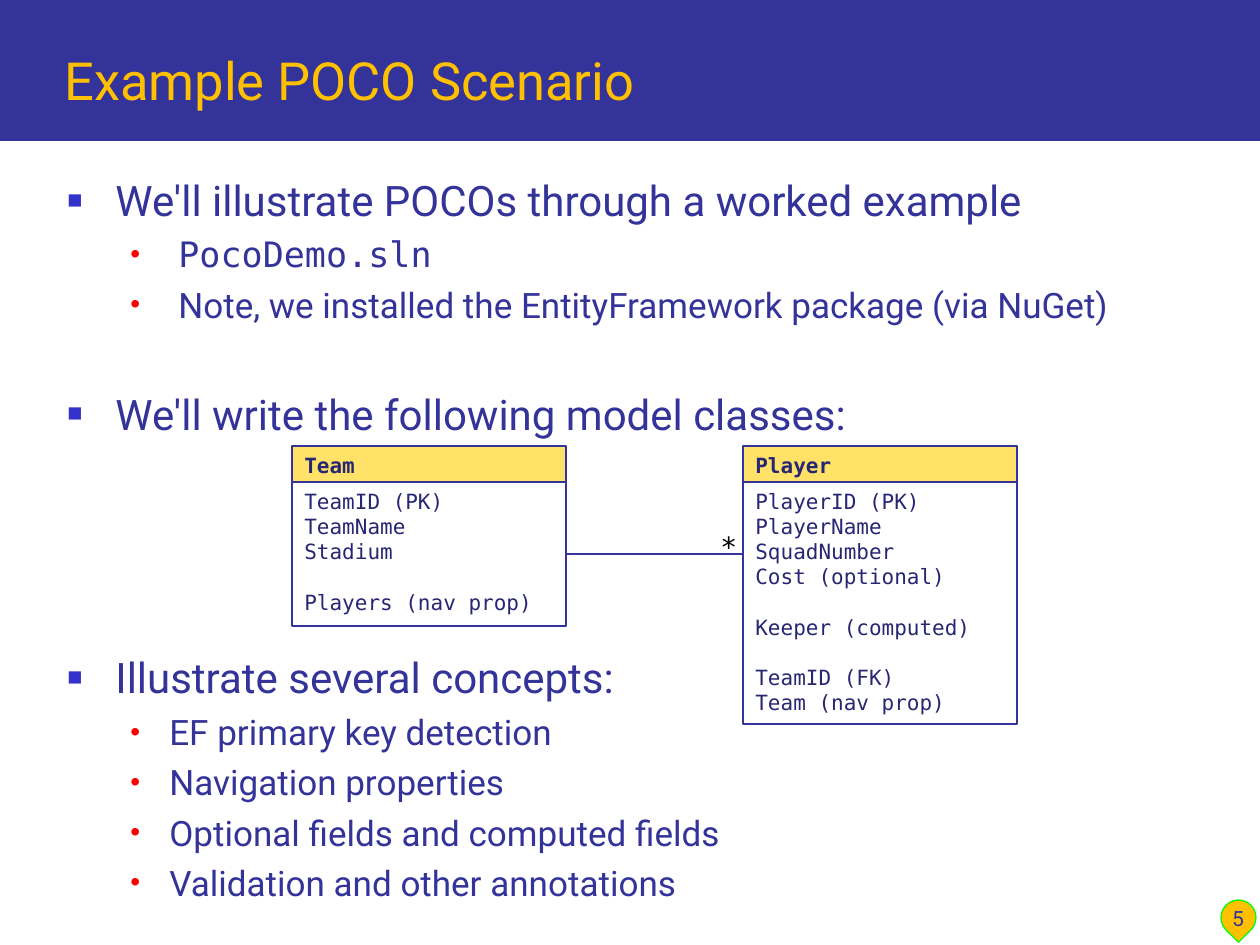
from lxml import etree
from pptx import Presentation
from pptx.dml.color import RGBColor
from pptx.enum.shapes import MSO_CONNECTOR, MSO_SHAPE
from pptx.enum.text import MSO_ANCHOR, PP_ALIGN
from pptx.oxml.ns import qn
from pptx.util import Pt

RECT, DROP = MSO_SHAPE.RECTANGLE, MSO_SHAPE.TEAR
LINE = MSO_CONNECTOR.STRAIGHT
TOP, LOW = MSO_ANCHOR.TOP, MSO_ANCHOR.BOTTOM
LEFT, MID = PP_ALIGN.LEFT, PP_ALIGN.CENTER

SANS, MONO = "Roboto", "DejaVu Sans Mono"
HUE = {"navy": "333399", "gold": "FFC000", "lime": "00FF00", "blue": "3333CC",
       "red": "FF0000", "ink": "262673", "sand": "FFE267", "white": "FFFFFF",
       "black": "000000"}

TITLE = "Example POCO Scenario"
PAGE = "5"
MANY = "*"
POINTS = [
    ("We'll illustrate POCOs through a worked example", 0, 111,
     [("PocoDemo.sln", MONO),
      ("Note, we installed the EntityFramework package (via NuGet)", SANS)]),
    ("We'll write the following model classes:", 36, 102, []),
    ("Illustrate several concepts:", 122, 102,
     [("EF primary key detection", SANS),
      ("Navigation properties", SANS),
      ("Optional fields and computed fields", SANS),
      ("Validation and other annotations", SANS)]),
]
TEAM = ("Team", 292, 144,
        [["TeamID (PK)", "TeamName", "Stadium"],
         ["Players (nav prop)"]])
PLAYER = ("Player", 743, 242,
          [["PlayerID (PK)", "PlayerName", "SquadNumber", "Cost (optional)"],
           ["Keeper (computed)"],
           ["TeamID (FK)", "Team (nav prop)"]])
WIDE, HEAD, HIGH = 274, 446, 36
PITCH = 14.4
SUB = 63


def px(n):
    return int(n * 914400 / 126)


def rgb(name):
    return RGBColor.from_string(HUE[name])


def style(para, size, hue, face=SANS, bold=False, align=LEFT):
    para.alignment = align
    font = para.font
    font.size, font.name, font.bold = Pt(size), face, bold
    font.color.rgb = rgb(hue)


def add_para(frame, text):
    first = frame.paragraphs[0]
    para = frame.add_paragraph() if first.runs else first
    para.add_run().text = text
    return para


def bullet(para, mark, hue, size, left, hang):
    props = para._p.get_or_add_pPr()
    props.set("marL", str(px(left)))
    props.set("indent", str(-px(hang)))
    tint = etree.SubElement(props, qn("a:buClr"))
    etree.SubElement(tint, qn("a:srgbClr")).set("val", HUE[hue])
    etree.SubElement(props, qn("a:buSzPct")).set("val", str(size * 1000))
    etree.SubElement(props, qn("a:buFont")).set("typeface", "Arial")
    etree.SubElement(props, qn("a:buChar")).set("char", mark)


def add_box(x, y, w, h, anchor=TOP, wrap=True):
    frame = slide.shapes.add_textbox(px(x), px(y), px(w), px(h)).text_frame
    frame.word_wrap, frame.vertical_anchor = wrap, anchor
    return frame


def add_shape(kind, x, y, w, h, fill, edge=None):
    shape = slide.shapes.add_shape(kind, px(x), px(y), px(w), px(h))
    shape.shadow.inherit = False
    shape.fill.solid()
    shape.fill.fore_color.rgb = rgb(fill)
    if edge:
        shape.line.color.rgb = rgb(edge)
        shape.line.width = Pt(0.75)
    else:
        shape.line.fill.background()
    frame = shape.text_frame
    frame.word_wrap, frame.vertical_anchor = True, TOP
    return shape


def add_class(name, x, high, groups):
    body = add_shape(RECT, x, HEAD + HIGH, WIDE, high, "white", "navy")
    for g, group in enumerate(groups):
        for i, field in enumerate(group):
            para = add_para(body.text_frame, field)
            para.line_spacing = Pt(PITCH)
            if g and not i:
                para.space_before = Pt(PITCH)
            style(para, 12, "ink", MONO)
    head = add_shape(RECT, x, HEAD, WIDE, HIGH, "sand", "navy")
    style(add_para(head.text_frame, name), 12, "ink", MONO, True)
    return body


deck = Presentation()
deck.slide_width, deck.slide_height = px(1260), px(945)
slide = deck.slides.add_slide(deck.slide_layouts[6])

add_shape(RECT, 0, 0, 1260, 141, "navy")
add_shape(DROP, 1221, 900, 35, 35, "gold", "lime").rotation = 135
style(add_para(add_box(52, 21, 1178, 96, LOW), TITLE), 30, "gold")
style(add_para(add_box(1216, 874, 44, 63, LOW), PAGE), 12, "navy", align=MID)

body = add_box(55, 168, 1169, 680)
for text, gap, left, subs in POINTS:
    para = add_para(body, text)
    bullet(para, "■", "blue", 60, 48, 48)
    if gap:
        para.space_before = Pt(gap)
    style(para, 24, "navy")
    for sub, face in subs:
        para = add_para(body, sub)
        bullet(para, "•", "red", 80, left, left - SUB)
        para.space_before = Pt(4.7)
        style(para, 20, "navy", face)

team = add_class(*TEAM)
mid = HEAD + HIGH + TEAM[2] // 2
link = slide.shapes.add_connector(LINE, px(TEAM[1] + WIDE), px(mid),
                                  px(PLAYER[1]), px(mid))
link.begin_connect(team, 3)
link.line.color.rgb = rgb("navy")
link.line.width = Pt(1.5)
etree.SubElement(link._element.spPr, qn("a:effectLst"))
add_class(*PLAYER)
style(add_para(add_box(708, 523, 43, 47, wrap=False), MANY), 16, "black", MONO)

deck.save("out.pptx")
